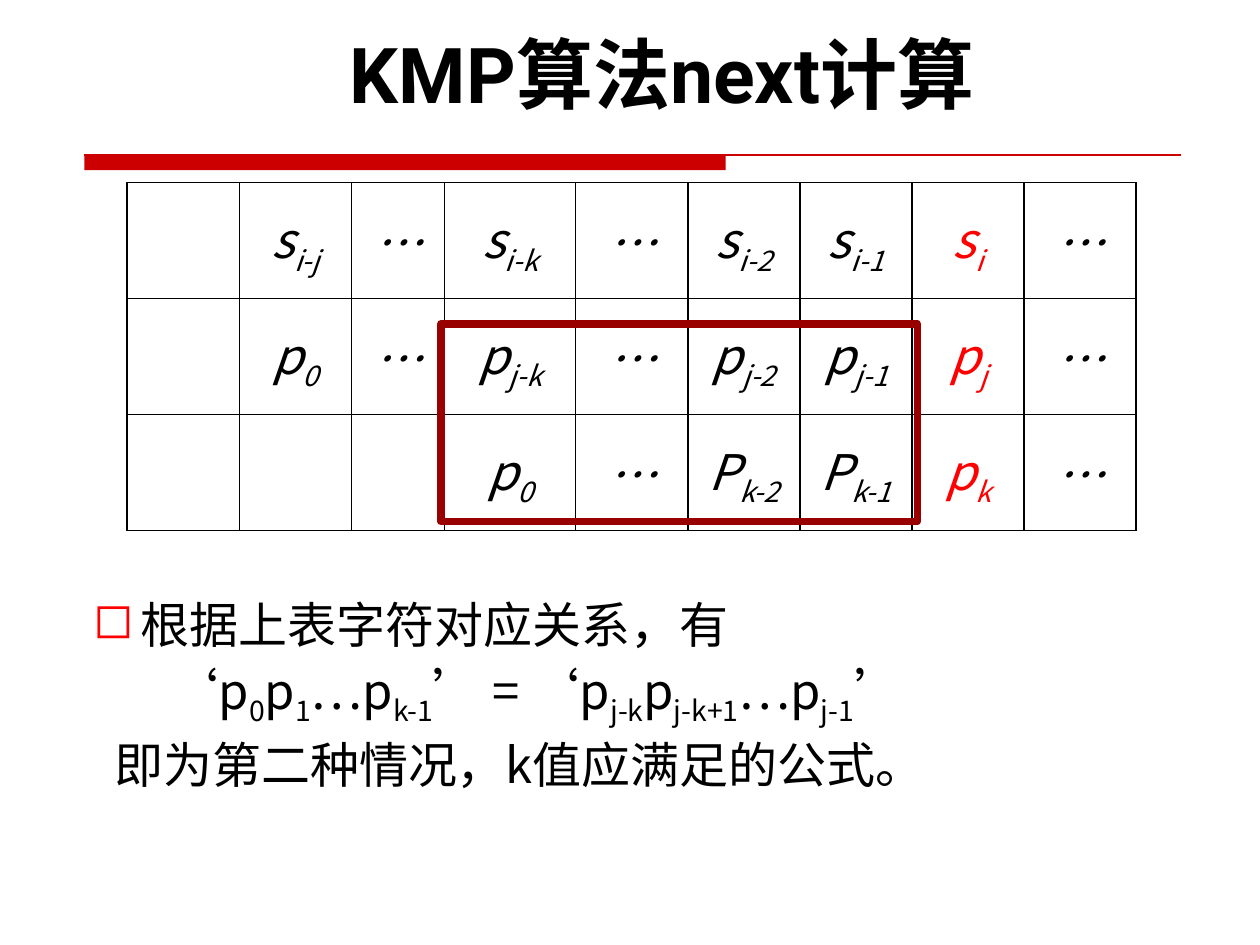
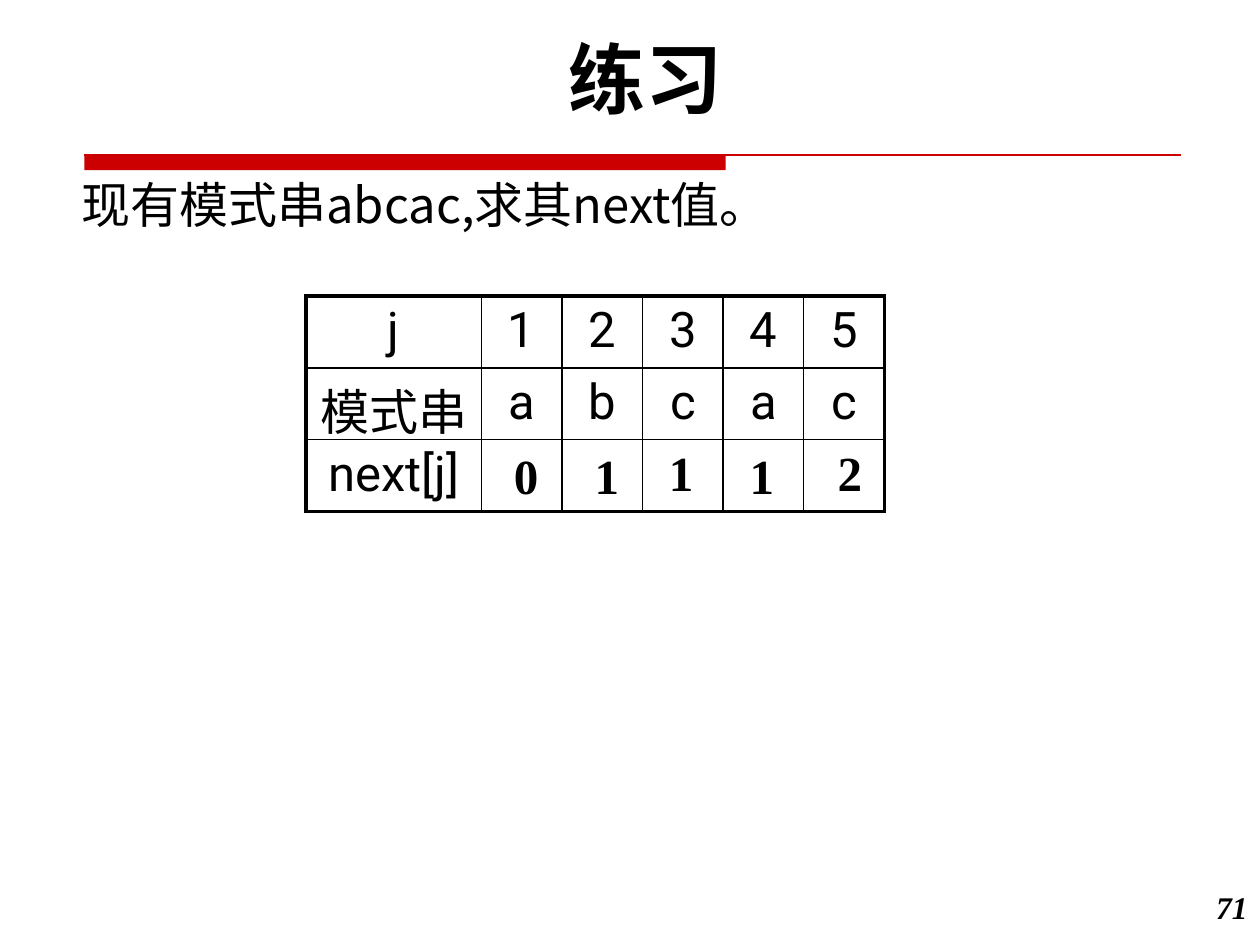
from lxml import etree
from pptx import Presentation
from pptx.dml.color import RGBColor
from pptx.enum.shapes import MSO_CONNECTOR, MSO_SHAPE
from pptx.enum.text import MSO_ANCHOR as ANCHOR, PP_ALIGN as ALIGN
from pptx.oxml.ns import qn
from pptx.util import Inches, Pt

rgb = RGBColor.from_string
BLACK, WHITE, RED = "000000", "FFFFFF", "FF0000"
BAND_RED, FRAME_RED = "CC0000", "990000"
CJK, SANS, SERIF = "Noto Sans CJK SC", "Roboto", "Times New Roman"


def write(paragraph, text, font, size, color=BLACK, align=None, **styles):
    """Add text to a paragraph; every second piece between underscores is a subscript."""
    paragraph.alignment = align
    for number, piece in enumerate(text.split("_")):
        if not piece:
            continue
        run = paragraph.add_run()
        run.text = piece
        run.font.color.rgb = rgb(color)
        for name, value in {"name": font, "size": Pt(size), **styles}.items():
            setattr(run.font, name, value)
        properties = run.font._element
        etree.SubElement(properties, qn("a:ea")).set("typeface", CJK)
        if number % 2:
            properties.set("baseline", "-25000")


def add_text(slide, box, *lines, **style):
    """Add a wrapping text box with one paragraph per line."""
    frame = slide.shapes.add_textbox(*map(Inches, box)).text_frame
    frame.word_wrap = True
    for number, line in enumerate(lines):
        paragraph = frame.add_paragraph() if number else frame.paragraphs[0]
        write(paragraph, line, **style)
    return frame.paragraphs


prs = Presentation()
prs.slide_width, prs.slide_height = Inches(10), Inches(7.5)
title_style = dict(font=SANS, size=44, bold=True, align=ALIGN.CENTER)
body_style = dict(font=CJK, size=28)

# Both slides: red band, thin rule and title
slides = []
for title, left, top in (("KMP算法next计算", 0.63, 0.16), ("练习", 0.5, 0.2)):
    slide = prs.slides.add_slide(prs.slide_layouts[6])
    slides.append(slide)
    band = slide.shapes.add_shape(
        MSO_SHAPE.RECTANGLE, Inches(0.67), Inches(1.23), Inches(5.09), Inches(0.12))
    band.shadow.inherit = False
    band.fill.solid()
    band.fill.fore_color.rgb = rgb(BAND_RED)
    band.line.fill.background()
    rule = slide.shapes.add_connector(
        MSO_CONNECTOR.STRAIGHT, Inches(0.67), Inches(1.23), Inches(9.37), Inches(1.23))
    rule.line.color.rgb = rgb(BAND_RED)
    rule.line.width = Pt(0.75)
    etree.SubElement(rule._element.spPr, qn("a:effectLst"))
    add_text(slide, (left, top, 9.25, 0.84), title, **title_style)
matching, exercise = slides

# Tables: an outer and an inner border width, one column may be red
tables = [
    dict(slide=matching, at=(1.01, 1.45), widths=[0.89] * 2 + [0.74, 1.04] + [0.89] * 5,
         row_height=0.92, outer=1, fill=WHITE, anchor=ANCHOR.MIDDLE, red_column=7,
         style=dict(font=CJK, size=28, italic=True),
         rows=[["", "s_i-j", "…", "s_i-k", "…", "s_i-2", "s_i-1", "s_i", "…"],
               ["", "p_0", "…", "p_j-k", "…", "p_j-2", "p_j-1", "p_j", "…"],
               ["", "", "", "p_0", "…", "P_k-2", "P_k-1", "p_k", "…"]]),
    dict(slide=exercise, at=(2.43, 2.35), widths=[1.39] + [0.64] * 5,
         row_height=0.57, outer=2.25, fill=None, anchor=ANCHOR.TOP, red_column=None,
         style=dict(font=SANS, size=28),
         rows=[["j", "1", "2", "3", "4", "5"],
               ["模式串", "a", "b", "c", "a", "c"],
               ["next[j]", "", "", "", "", ""]]),
]
for spec in tables:
    rows, widths = spec["rows"], spec["widths"]
    last_row, last_column = len(rows) - 1, len(widths) - 1
    size = sum(widths), spec["row_height"] * len(rows)
    table = spec["slide"].shapes.add_table(
        len(rows), len(widths), *map(Inches, spec["at"] + size)).table
    table.first_row = table.horz_banding = False
    for column, width in zip(table.columns, widths):
        column.width = Inches(width)
    for r, texts in enumerate(rows):
        table.rows[r].height = Inches(spec["row_height"])
        for c, text in enumerate(texts):
            cell = table.cell(r, c)
            cell.vertical_anchor = spec["anchor"]
            color = RED if c == spec["red_column"] else BLACK
            write(cell.text_frame.paragraphs[0], text, color=color,
                  align=ALIGN.CENTER, **spec["style"])
            edges = {"L": c == 0, "R": c == last_column, "T": r == 0, "B": r == last_row}
            for side, is_outer in edges.items():
                border = etree.SubElement(cell._tc.get_or_add_tcPr(), qn(f"a:ln{side}"))
                border.set("w", str(Pt(spec["outer"] if is_outer else 1)))
                line_fill = etree.SubElement(border, qn("a:solidFill"))
                etree.SubElement(line_fill, qn("a:srgbClr")).set("val", BLACK)
            if spec["fill"]:
                cell.fill.solid()
                cell.fill.fore_color.rgb = rgb(spec["fill"])
            else:
                cell.fill.background()

# Slide 1: frame around the matching part, and the formula
frame = matching.shapes.add_shape(
    MSO_SHAPE.RECTANGLE, Inches(3.5), Inches(2.57), Inches(3.78), Inches(1.57))
frame.shadow.inherit = False
frame.fill.background()
frame.line.color.rgb = rgb(FRAME_RED)
frame.line.width = Pt(4.25)

relation, formula, conclusion = add_text(
    matching, (0.64, 4.67, 9.58, 2.03),
    "根据上表字符对应关系，有",
    "‘p_0_p_1_…p_k-1_’ = ‘p_j-k_p_j-k+1_…p_j-1_’",
    "即为第二种情况，k值应满足的公式。", **body_style)
for paragraph, margin, indent in (
        (relation, 0.38, -0.38), (formula, 0.61, 0), (conclusion, 0.17, 0)):
    properties = paragraph._p.get_or_add_pPr()
    properties.set("marL", str(Inches(margin)))
    properties.set("indent", str(Inches(indent)))
bullet = relation._p.get_or_add_pPr()
bullet_color = etree.SubElement(bullet, qn("a:buClr"))
etree.SubElement(bullet_color, qn("a:srgbClr")).set("val", RED)
etree.SubElement(bullet, qn("a:buChar")).set("char", "◻")
formula.space_before = conclusion.space_before = Pt(4)

# Slide 2: question, answers laid over the last table row, page number
question, = add_text(
    exercise, (0.55, 1.39, 9.25, 1), "现有模式串abcac,求其next值。", **body_style)
question.line_spacing = 0.9
for answer, left, top in (("0", 3.98, 3.49), ("1", 4.62, 3.49), ("1", 5.21, 3.46),
                          ("1", 5.85, 3.49), ("2", 6.55, 3.46)):
    add_text(exercise, (left, top, 0.39, 0.57), answer, font=SERIF, size=28, bold=True)
add_text(exercise, (9.33, 7, 0.67, 0.5), "71", font=SERIF, size=18,
         bold=True, italic=True, align=ALIGN.RIGHT)

prs.save("out.pptx")
